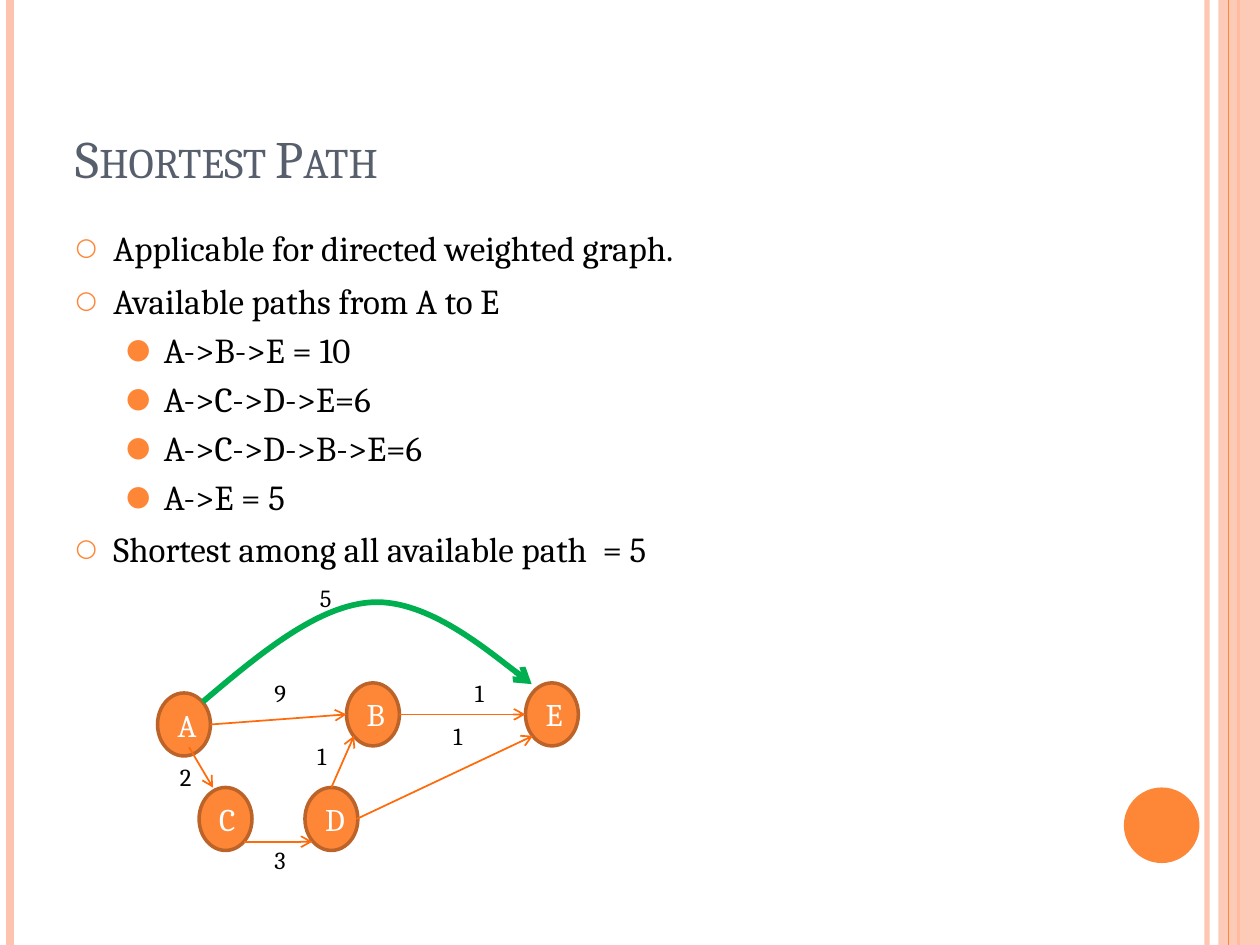
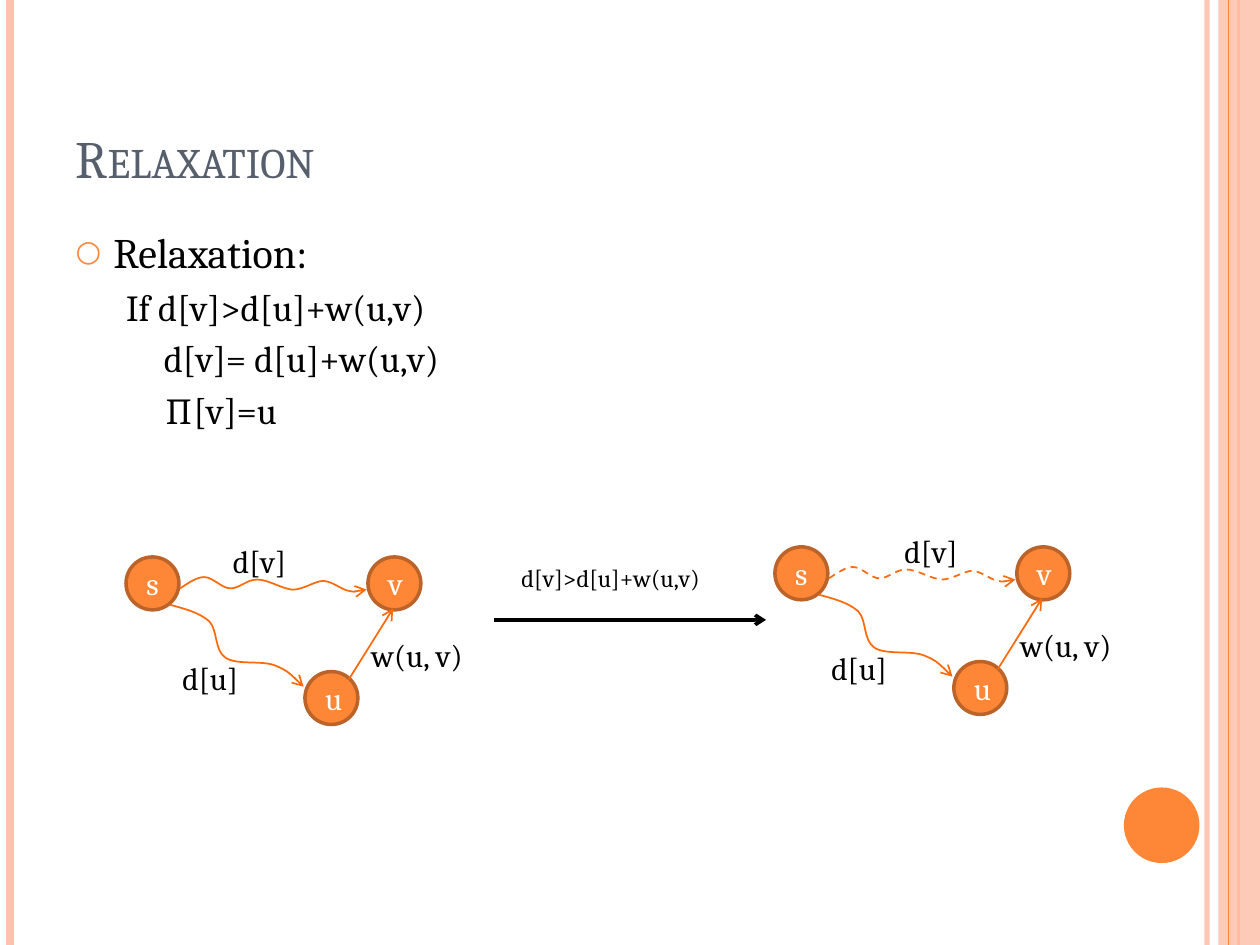
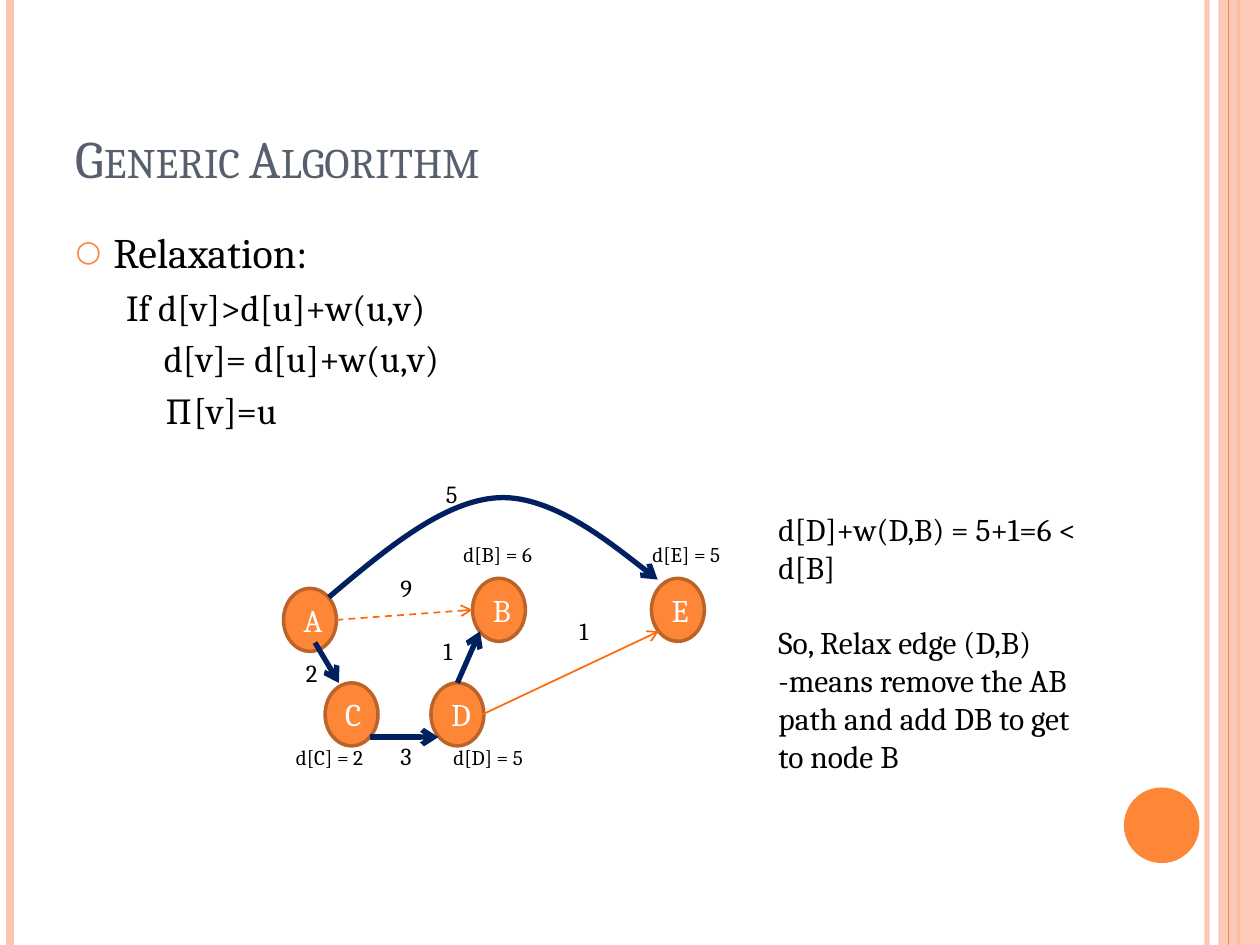
from pptx import Presentation
from pptx.dml.color import RGBColor
from pptx.enum import dml, shapes, text
from pptx.oxml.ns import qn
from pptx.oxml.xmlchemy import OxmlElement
from pptx.util import Inches, Pt

COLORS = {
    "orange": "FE8637", "rim": "BC6329", "edge": "FF6B0A", "band": "FEC3AE",
    "title": "575F6D", "black": "000000", "white": "FFFFFF",
    "green": "00B050", "navy": "002060",
}
FONT = "Cambria"

PLAIN = ("edge", 1, False)
DASHED = ("edge", 1, True)
CHOSEN = ("navy", 3, False)

GRAPH_NODES = {"A": (0, 0.92), "B": (1.5, 0.84), "C": (0.33, 1.67),
               "D": (1.17, 1.67), "E": (2.92, 0.84)}
GRAPH_EDGES = {
    "AB": ((0.42, 1.17), (1.5, 1.09), "9", (0.83, 0.75)),
    "AC": ((0.25, 1.35), (0.44, 1.67), "2", (0.08, 1.42)),
    "CD": ((0.69, 2.1), (1.23, 2.1), "3", (0.83, 2.08)),
    "DE": ((1.58, 1.92), (2.98, 1.26), "1", (2.25, 1.09)),
    "DB": ((1.38, 1.67), (1.56, 1.26), "1", (1.17, 1.25)),
    "BE": ((1.92, 1.09), (2.92, 1.09), "1", (2.42, 0.75)),
}
GRAPH_ARC = [(0.36, 0.99), (0.82, 0.6), (1.28, 0.22), (1.71, 0.2),
             (2.15, 0.18), (2.97, 0.85), (2.97, 0.85)]

TRIANGLE_NODES = {"s": (0, 0.17), "u": (1.42, 1.08), "v": (1.92, 0.17)}
WAVE_S_V = [(0.43, 0.42), (0.49, 0.38), (0.56, 0.33), (0.62, 0.33),
            (0.69, 0.33), (0.76, 0.42), (0.83, 0.42),
            (0.9, 0.42), (0.96, 0.35), (1.04, 0.35),
            (1.13, 0.35), (1.23, 0.42), (1.32, 0.43),
            (1.41, 0.43), (1.5, 0.36), (1.57, 0.36),
            (1.65, 0.37), (1.71, 0.43), (1.77, 0.44),
            (1.82, 0.45), (1.87, 0.44), (1.91, 0.43)]
WAVE_S_U = [(0.35, 0.55), (0.46, 0.58), (0.58, 0.61), (0.66, 0.68),
            (0.73, 0.75), (0.7, 0.91), (0.79, 0.97),
            (0.88, 1.03), (1.07, 0.99), (1.18, 1.03),
            (1.28, 1.07), (1.34, 1.13), (1.41, 1.2)]

RELAXATION = [("Relaxation:", "ring", 24), ("If d[v]>d[u]+w(u,v)", None, 21),
              ("\td[v]= d[u]+w(u,v)", None, 21), ("\t∏[v]=u", None, 21)]
PATHS = [("Applicable for directed weighted graph.", "ring", 20),
         ("Available paths from A to E", "ring", 20),
         ("A->B->E = 10", "dot", 20), ("A->C->D->E=6", "dot", 20),
         ("A->C->D->B->E=6", "dot", 20), ("A->E = 5", "dot", 20),
         ("Shortest among all available path  = 5", "ring", 20)]
BULLETS = {"ring": ("○", "70000"), "dot": ("●", "80000")}


def rgb(name):
    """Return the named colour."""
    return RGBColor.from_string(COLORS[name])


def element(tag, **attributes):
    """Return a new XML element with the given attributes."""
    node = OxmlElement(tag)
    for name, value in attributes.items():
        node.set(name, value)
    return node


def shift(origin, point):
    """Return a point, relative to an origin, as slide lengths."""
    return Inches(origin[0] + point[0]), Inches(origin[1] + point[1])


def style_font(para, size, color):
    """Format every run of a paragraph."""
    for span in para.runs:
        span.font.name = FONT
        span.font.size = Pt(size)
        span.font.color.rgb = rgb(color)


def set_alpha(parent, percent):
    """Make the colour inside an element partly transparent."""
    for color in parent.iter(qn("a:srgbClr")):
        color.append(element("a:alpha", val=str(percent * 1000)))


def style_line(shape, color, width, dashed=False, arrow=False):
    """Format the line of a shape or connector."""
    shape.line.color.rgb = rgb(color)
    shape.line.width = Pt(width)
    if dashed:
        shape.line.dash_style = dml.MSO_LINE.DASH
    if arrow:
        shape.element.spPr.get_or_add_ln().append(element("a:tailEnd", type="arrow"))


def add_line(parent, origin, start, end, color, width, dashed=False, arrow=True):
    """Draw a straight line between two points."""
    line = parent.shapes.add_connector(
        shapes.MSO_CONNECTOR.STRAIGHT, *shift(origin, start), *shift(origin, end))
    style_line(line, color, width, dashed, arrow)
    line.element.spPr.append(element("a:effectLst"))
    return line


def add_curve(parent, origin, points, color, width, dashed=False):
    """Draw an arrow of cubic curves through a list of control points."""
    places = [shift(origin, point) for point in points]
    builder = parent.shapes.build_freeform(*places[0])
    builder.add_line_segments(places[1:], close=False)
    curve = builder.convert_to_shape()
    steps = list(curve.element.iter(qn("a:lnTo")))
    for first in range(0, len(steps), 3):
        bezier = element("a:cubicBezTo")
        steps[first].addprevious(bezier)
        for step in steps[first:first + 3]:
            bezier.append(step[0])
            step.getparent().remove(step)
    curve.fill.background()
    curve.shadow.inherit = False
    style_line(curve, color, width, dashed, arrow=True)


def add_solid(parent, kind, left, top, width, height, color):
    """Draw a filled shape without an outline."""
    shape = parent.shapes.add_shape(
        kind, Inches(left), Inches(top), Inches(width), Inches(height))
    shape.shadow.inherit = False
    shape.fill.solid()
    shape.fill.fore_color.rgb = rgb(color)
    shape.line.fill.background()
    return shape


def add_nodes(parent, origin, nodes, height):
    """Draw the labelled nodes of a graph."""
    for name, (left, top) in nodes.items():
        node = add_solid(parent, shapes.MSO_SHAPE.OVAL,
                         origin[0] + left, origin[1] + top, 0.42, height, "orange")
        style_line(node, "rim", 2)
        node.text_frame.text = name
        para = node.text_frame.paragraphs[0]
        para.alignment = text.PP_ALIGN.CENTER
        style_font(para, 18, "white")


def add_label(parent, origin, place, words, size, width, height):
    """Write a one-line label."""
    box = parent.shapes.add_textbox(
        *shift(origin, place), Inches(width), Inches(height))
    box.text_frame.word_wrap = False
    box.text_frame.auto_size = text.MSO_AUTO_SIZE.SHAPE_TO_FIT_TEXT
    box.text_frame.text = words
    style_font(box.text_frame.paragraphs[0], size, "black")


def prepare_layout(deck, page):
    """Give the layout its bands, disc and placeholder positions."""
    layout = page.slide_layout
    edges = [(9.58, "band", 3), (0.08, "band", 4.5),
             (9.83, "orange", 1.5), (9.75, "orange", 0.75)]
    lines = [add_line(page, (0, 0), (x, 0), (x, 7.5), color, width, arrow=False)
             for x, color, width in edges]
    set_alpha(lines[0].element, 93)
    band = add_solid(page, shapes.MSO_SHAPE.RECTANGLE, 9.67, 0, 0.33, 7.5, "band")
    set_alpha(band.element, 87)
    disc = add_solid(page, shapes.MSO_SHAPE.OVAL, 8.92, 6.25, 0.6, 0.6, "orange")
    for index, part in enumerate([*lines[:3], band, lines[3], disc], start=2):
        layout.shapes.element.insert(index, part.element)

    title, body = layout.placeholders[0], layout.placeholders[1]
    for box, top, height in ((title, 0.3, 1.25), (body, 1.75, 5.33)):
        box.left, box.top = Inches(0.5), Inches(top)
        box.width, box.height = Inches(8.17), Inches(height)
    title.text_frame.vertical_anchor = text.MSO_ANCHOR.BOTTOM


def fill_title(box, words):
    """Write a title in small capitals."""
    box.text_frame.text = words
    para = box.text_frame.paragraphs[0]
    para.alignment = text.PP_ALIGN.LEFT
    style_font(para, 30, "title")
    for properties in box.element.iter(qn("a:rPr")):
        properties.set("cap", "small")


def fill_body(box, items):
    """Write a list with ring, dot or no bullets."""
    frame = box.text_frame
    frame.text = "\n".join(words for words, _, _ in items)
    for index, (para, (_, bullet, size)) in enumerate(zip(frame.paragraphs, items)):
        outer = bullet == "ring"
        para.level = 0 if outer else 1
        properties = para._p.get_or_add_pPr()
        properties.set("marL", str(Inches(0.3 if outer else 0.7)))
        properties.set("indent", str(Inches(-0.3)))
        if bullet:
            mark, scale = BULLETS[bullet]
            tint = element("a:buClr")
            tint.append(element("a:srgbClr", val=COLORS["orange"]))
            properties.extend([tint, element("a:buSzPct", val=scale),
                               element("a:buFont", typeface=FONT),
                               element("a:buChar", char=mark)])
        else:
            properties.append(element("a:buNone"))
        if outer:
            para.space_before = Pt(6 if index else 0)
        style_font(para, size, "black")


def add_graph(page, origin, edge_styles, arc_style):
    """Draw the weighted graph with the chosen edges."""
    group = page.shapes.add_group_shape()
    add_nodes(group, origin, GRAPH_NODES, 0.5)
    for name, style in edge_styles.items():
        start, end, weight, place = GRAPH_EDGES[name]
        add_line(group, origin, start, end, *style)
        add_label(group, origin, place, weight, 14, 0.31, 0.34)
    add_curve(group, origin, GRAPH_ARC, *arc_style)
    add_label(group, origin, (1.19, 0), "5", 14, 0.31, 0.34)
    return group


def add_triangle(page, origin, direct_style, direct_label_left):
    """Draw the paths from s to v, direct and by way of u."""
    group = page.shapes.add_group_shape()
    add_nodes(group, origin, TRIANGLE_NODES, 0.42)
    add_curve(group, origin, WAVE_S_V, *direct_style)
    add_curve(group, origin, WAVE_S_U, *PLAIN)
    add_line(group, origin, (1.77, 1.14), (2.12, 0.58), *PLAIN)
    add_label(group, origin, (direct_label_left, 0), "d[v]", 18, 0.65, 0.4)
    add_label(group, origin, (0.35, 0.93), "d[u]", 18, 0.67, 0.4)
    add_label(group, origin, (1.85, 0.75), "w(u, v)", 18, 1, 0.4)


def add_condition(page, origin):
    """Draw the arrow between the triangles with its condition."""
    group = page.shapes.add_group_shape()
    add_line(group, origin, (0, 0.5), (2.16, 0.5), "black", 2)
    add_label(group, origin, (0.12, 0), "d[v]>d[u]+w(u,v)", 14, 1.71, 0.34)


def add_note(page, origin):
    """Write the explanation beside the graph."""
    box = page.shapes.add_textbox(*shift(origin, (0, 0)), Inches(2.67), Inches(2.22))
    frame = box.text_frame
    frame.word_wrap = True
    frame.auto_size = text.MSO_AUTO_SIZE.SHAPE_TO_FIT_TEXT
    frame.text = ("d[D]+w(D,B) = 5+1=6 < d[B]\nSo, Relax edge (D,B)\n"
                  "-means remove the AB path and add DB to get to node B")
    for para in frame.paragraphs:
        style_font(para, 18, "black")
    frame.paragraphs[1].space_before = Pt(21.5)


def add_page(deck, title, items):
    """Add a slide with a title and a list."""
    page = deck.slides.add_slide(deck.slide_layouts[1])
    fill_title(page.shapes.title, title)
    fill_body(page.placeholders[1], items)
    return page


def build_shortest_path(page):
    """Draw the graph with its shortest path in green."""
    add_graph(page, (1.25, 4.58), dict.fromkeys(GRAPH_EDGES, PLAIN), ("green", 3.25))


def build_relaxation(page):
    """Draw the triangle before and after relaxation."""
    add_triangle(page, (1, 4.25), PLAIN, 0.75)
    add_triangle(page, (6.15, 4.17), DASHED, 0.93)
    add_condition(page, (3.92, 4.42))


def build_algorithm(page):
    """Draw the graph after relaxing the edge from D to B."""
    origin = (2.25, 3.75)
    add_note(page, (6.08, 4))
    styles = {"AB": DASHED, "AC": CHOSEN, "CD": CHOSEN, "DE": PLAIN, "DB": CHOSEN}
    group = add_graph(page, origin, styles, CHOSEN)
    distances = {"d[B] = 6": (1.33, 0.5), "d[C] = 2": (0, 2.11),
                 "d[D] = 5": (1.25, 2.11), "d[E] = 5": (2.83, 0.5)}
    for words, place in distances.items():
        add_label(group, origin, place, words, 12, 0.82, 0.3)


def main():
    """Build and save the deck."""
    deck = Presentation()
    deck.slide_width, deck.slide_height = Inches(10), Inches(7.5)
    first = add_page(deck, "Shortest Path", PATHS)
    prepare_layout(deck, first)
    build_shortest_path(first)
    build_relaxation(add_page(deck, "Relaxation", RELAXATION))
    build_algorithm(add_page(deck, "Generic Algorithm", RELAXATION))
    deck.save("out.pptx")


if __name__ == "__main__":
    main()
